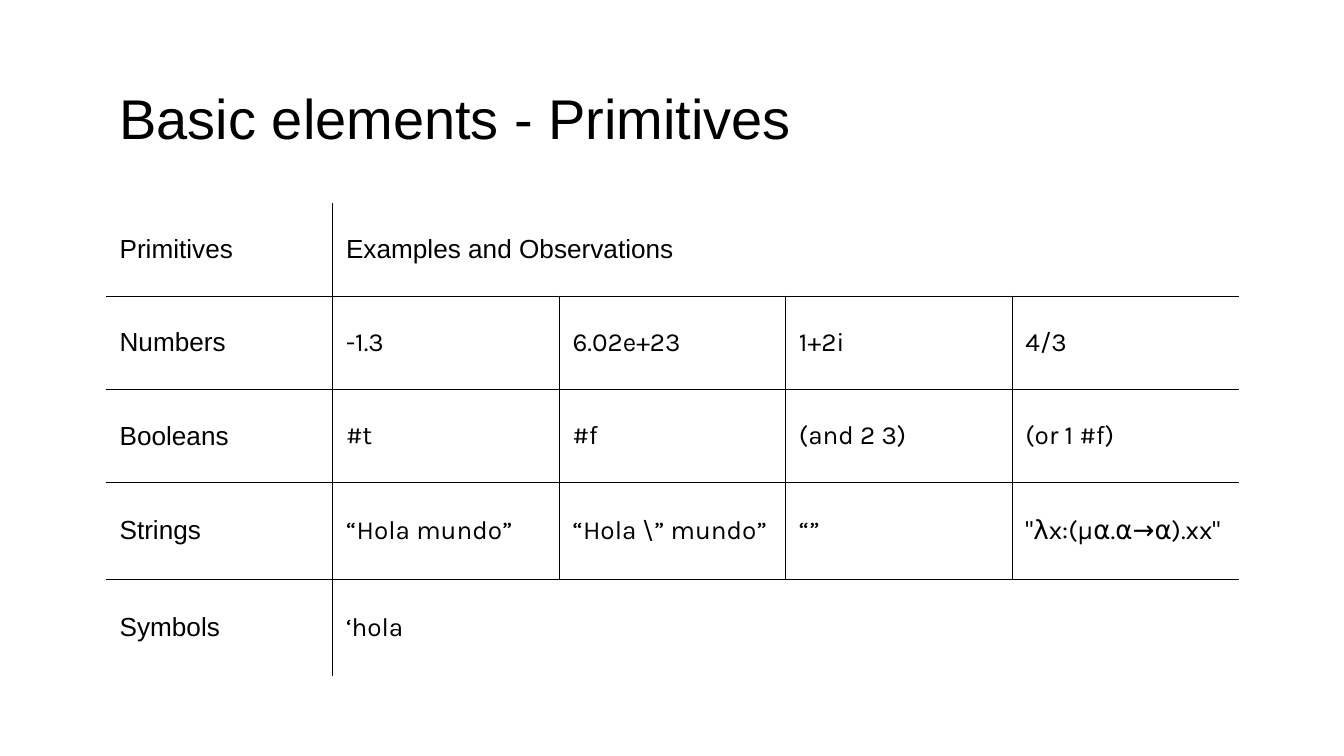
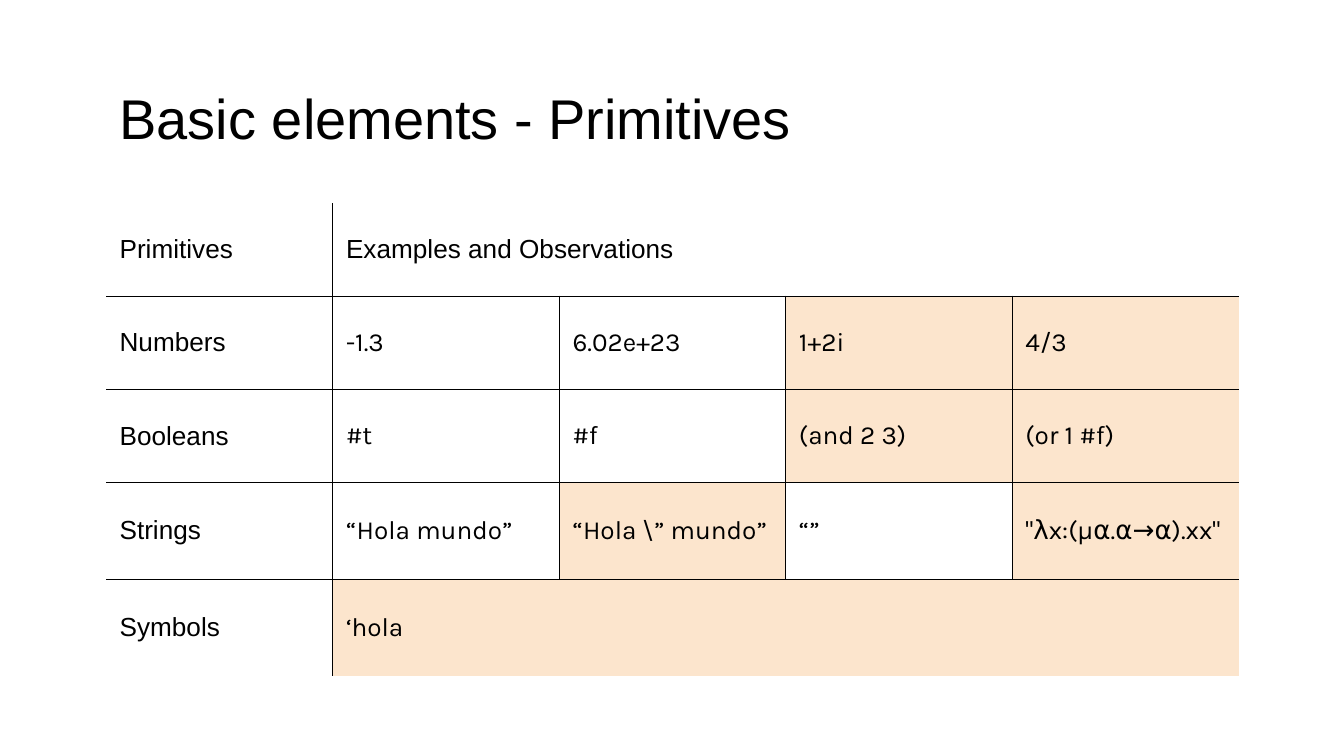
import pptx
import pptx.util
import pptx.dml.color
import pptx.enum.text
import pptx.oxml
import pptx.oxml.ns

Cm = pptx.util.Cm
Pt = pptx.util.Pt
BLACK = pptx.dml.color.RGBColor(0x00, 0x00, 0x00)
PEACH = pptx.dml.color.RGBColor(0xFC, 0xE5, 0xCD)

TITLE = "Basic elements - Primitives"
ROWS = [
    ["Primitives", "Examples and Observations"],
    ["Numbers", "-1.3", "6.02e+23", "1+2i", "4/3"],
    ["Booleans", "#t", "#f", "(and 2 3)", "(or 1 #f)"],
    ["Strings", "“Hola mundo”", "“Hola \\” mundo”", "“”", "\"λx:(μα.α→α).xx\""],
    ["Symbols", "‘hola"],
]
ROW_HEIGHTS = [1.76, 1.76, 1.76, 1.83, 1.83]
COLS = 5
COL_WIDTH = 4.28
LEFT = 2.01
HIGHLIGHTS = [
    set(),
    {(1, 3), (1, 4), (2, 3), (2, 4), (3, 2), (3, 4), (4, 1)},
]
TITLE_FRAME = {
    "margin_left": Cm(0.25), "margin_right": Cm(0.25),
    "margin_top": Cm(0.34), "margin_bottom": Cm(0),
    "word_wrap": True,
    "auto_size": pptx.enum.text.MSO_AUTO_SIZE.NONE,
    "vertical_anchor": pptx.enum.text.MSO_ANCHOR.TOP,
}
CELL = {
    "margin_left": Cm(0.25), "margin_right": Cm(0.25),
    "margin_top": Cm(0.25), "margin_bottom": Cm(0.25),
    "vertical_anchor": pptx.enum.text.MSO_ANCHOR.MIDDLE,
}
TABLE = {"first_row": False, "horz_banding": False}


def write(tf, text, size, font):
    p = tf.paragraphs[0]
    p.alignment = pptx.enum.text.PP_ALIGN.LEFT
    r = p.add_run()
    r.text = text
    for name, value in {"size": Pt(size), "name": font, "bold": False}.items():
        setattr(r.font, name, value)
    r.font.color.rgb = BLACK


def set_borders(cell, sides):
    for side, visible in sides.items():
        paint = f'<a:solidFill><a:srgbClr val="{BLACK}"/></a:solidFill>' if visible else "<a:noFill/>"
        cell._tc.get_or_add_tcPr().append(pptx.oxml.parse_xml(
            f'<a:ln{side} {pptx.oxml.ns.nsdecls("a")} w="{Pt(0.75)}">{paint}</a:ln{side}>'))


prs = pptx.Presentation()
prs.slide_width = Cm(25.4)
prs.slide_height = Cm(14.29)

for highlights in HIGHLIGHTS:
    s = prs.slides.add_slide(prs.slide_layouts[5])
    sp = s.shapes.title
    sp.left, sp.top, sp.width, sp.height = Cm(LEFT), Cm(1.24), Cm(21.4), Cm(1.6)
    for name, value in TITLE_FRAME.items():
        setattr(sp.text_frame, name, value)
    write(sp.text_frame, TITLE, 30, "Arial")

    table = s.shapes.add_table(
        len(ROWS), COLS, Cm(LEFT), Cm(3.84), Cm(COLS * COL_WIDTH), Cm(sum(ROW_HEIGHTS))).table
    for name, value in TABLE.items():
        setattr(table, name, value)
    for col in table.columns:
        col.width = Cm(COL_WIDTH)

    for i, texts in enumerate(ROWS):
        table.rows[i].height = Cm(ROW_HEIGHTS[i])
        merged = len(texts) < COLS
        if merged:
            table.cell(i, 1).merge(table.cell(i, COLS - 1))
        for j in range(COLS):
            cell = table.cell(i, j)
            for name, value in CELL.items():
                setattr(cell, name, value)
            set_borders(cell, {
                "L": j == 1 or (j > 1 and not merged),
                "R": j == 0 or (j < COLS - 1 and not merged),
                "T": i > 0,
                "B": i < len(ROWS) - 1,
            })
            if (i, j) in highlights:
                cell.fill.solid()
                cell.fill.fore_color.rgb = PEACH
            else:
                cell.fill.background()
            if j < len(texts):
                write(cell.text_frame, texts[j], 14, "Arial" if i == 0 or j == 0 else "Karla")

prs.save("out.pptx")
